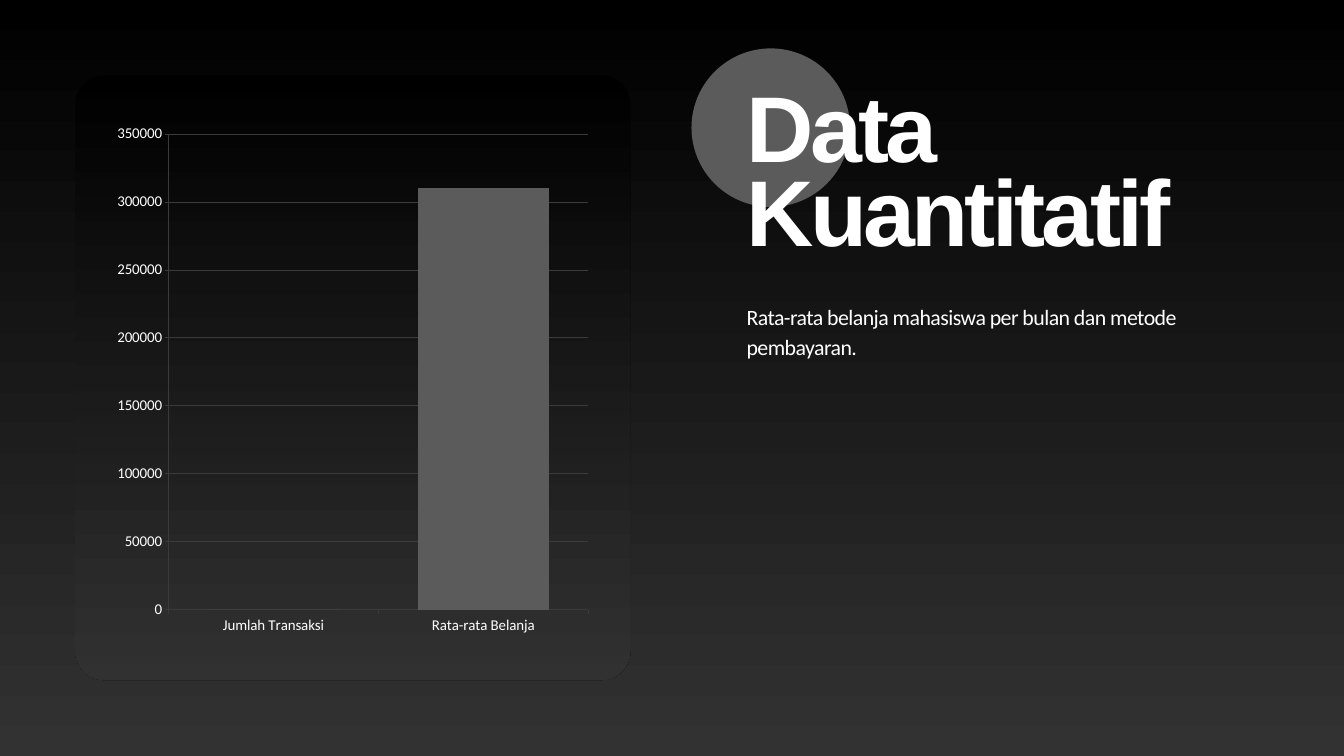
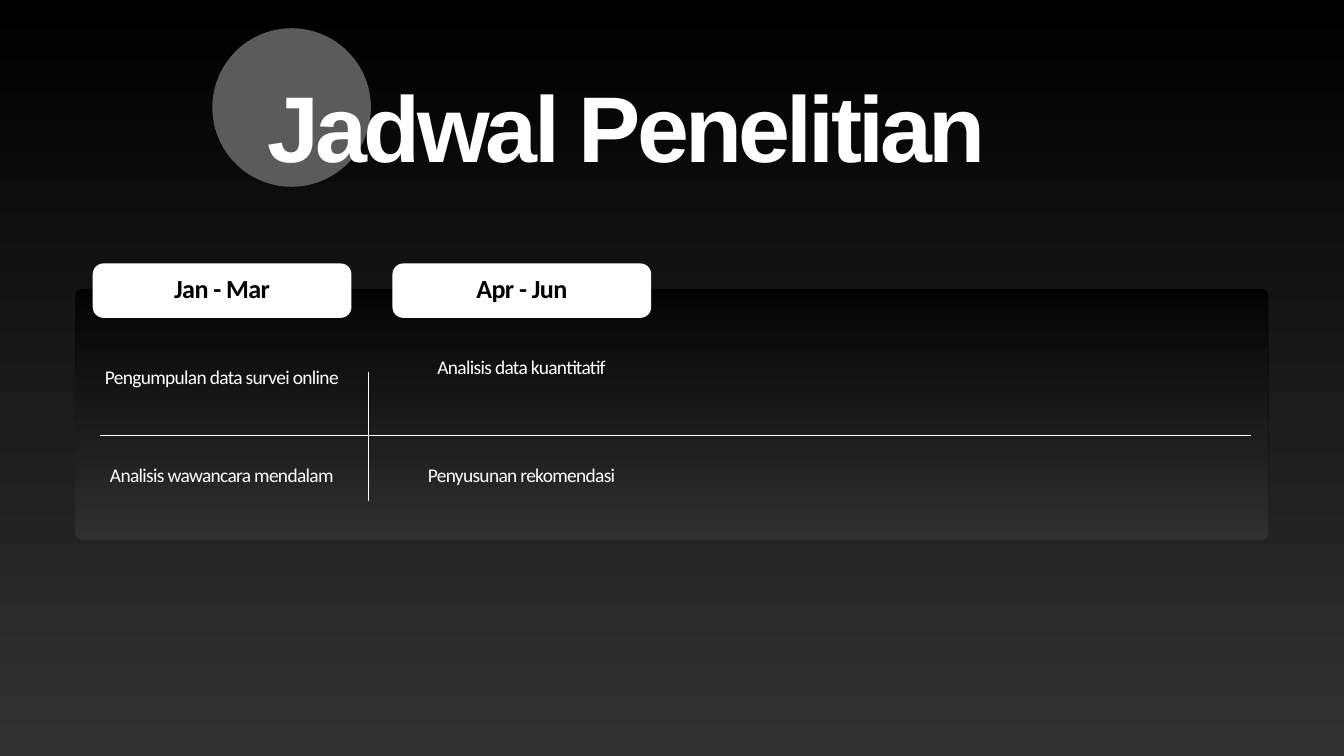
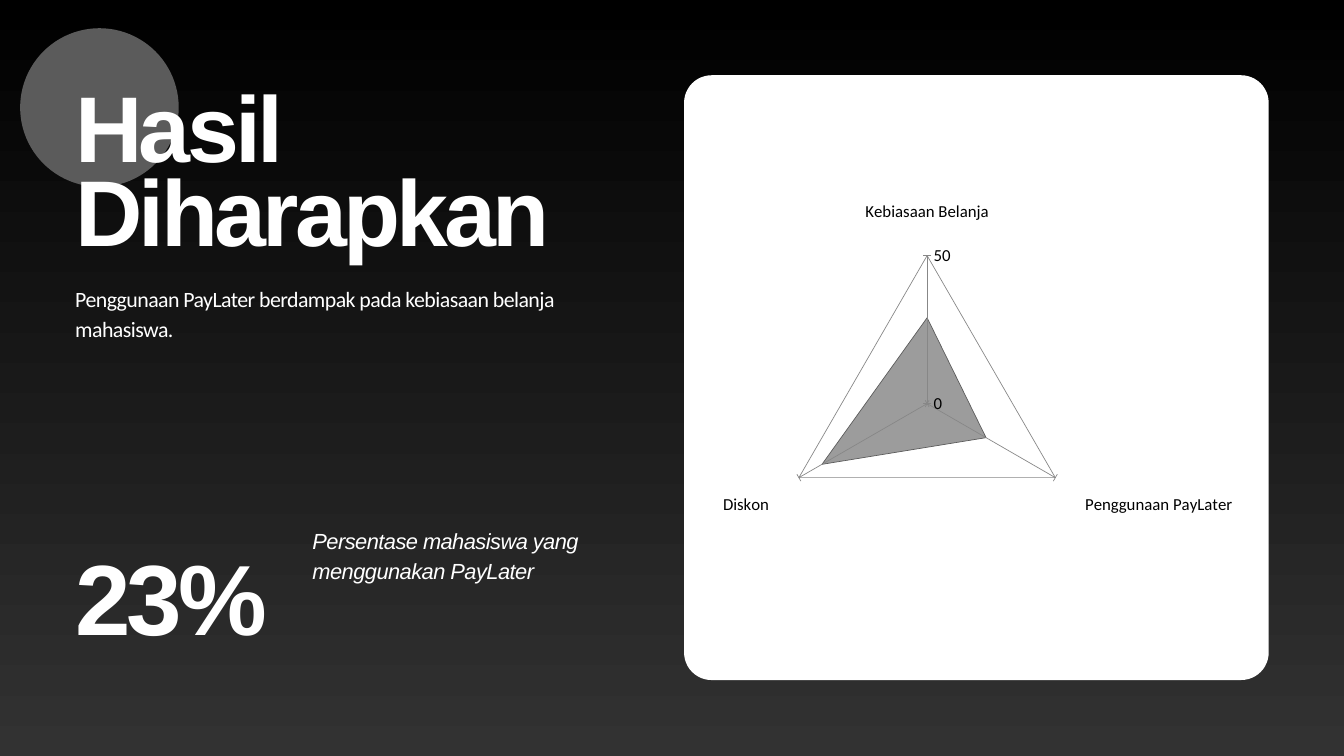
from lxml.etree import SubElement
from pptx import Presentation
from pptx.chart.data import CategoryChartData
from pptx.dml.color import RGBColor as RGB
from pptx.enum.chart import XL_CHART_TYPE as ChartType, XL_TICK_MARK as TickMark
from pptx.enum.shapes import MSO_CONNECTOR as Connector, MSO_SHAPE as Shape
from pptx.enum.text import MSO_ANCHOR as Anchor, MSO_AUTO_SIZE as AutoSize, PP_ALIGN as Align
from pptx.oxml.ns import qn
from pptx.util import Inches, Pt

COLORS = {
    "black": "000000",
    "white": "FFFFFF",
    "charcoal": "323232",
    "grey": "5B5B5B",
    "grid": "3A3A3A",
    "radar_grid": "878787",
}
RGBS = {name: RGB.from_string(value) for name, value in COLORS.items()}
HEADING, BODY = "Arial", "Calibri"
MARGIN = 1.12


def write(shape, text, size, leading, tracking, font=BODY, color="white",
          align=Align.LEFT, anchor=Anchor.TOP, bold=False, italic=False):
    """Fill a shape with one paragraph; tracking is in points."""
    frame = shape.text_frame
    frame.word_wrap = True
    frame.auto_size = AutoSize.NONE
    frame.vertical_anchor = anchor
    frame.margin_left = frame.margin_right = frame.margin_top = frame.margin_bottom = 0
    frame.text = text
    paragraph = frame.paragraphs[0]
    paragraph.alignment = align
    paragraph.line_spacing = Pt(leading)
    paragraph.font.name = font
    paragraph.font.size = Pt(size)
    paragraph.font.bold = bold
    paragraph.font.italic = italic
    paragraph.font.color.rgb = RGBS[color]
    paragraph._p.pPr.find(qn("a:defRPr")).set("spc", str(round(tracking * 100)))


def add_panel(slide, left, top, width, height, radius, white=True):
    """Add a rounded panel, white or in the translucent dark gradient."""
    panel = slide.shapes.add_shape(Shape.ROUNDED_RECTANGLE, Inches(left), Inches(top),
                                   Inches(width), Inches(height))
    panel.adjustments[0] = radius / min(width, height)
    panel.shadow.inherit = False
    panel.line.fill.background()
    if white:
        panel.fill.solid()
        panel.fill.fore_color.rgb = RGBS["white"]
        return panel
    panel.fill.gradient()
    panel.fill.gradient_angle = 270
    for stop, color in zip(panel.fill.gradient_stops, ("black", "charcoal")):
        stop.color.rgb = RGBS[color]
    for color in panel.element.spPr.iter(qn("a:srgbClr")):
        SubElement(color, qn("a:alpha"), val="80000")
    return panel


presentation = Presentation()
presentation.slide_width = Inches(20)
presentation.slide_height = Inches(11.25)

# Shared background
background = presentation.slide_master.background.fill
background.gradient()
background.gradient_angle = 270
for stop, color in zip(background.gradient_stops, ("black", "charcoal")):
    stop.color.rgb = RGBS[color]

# Titles, each with a grey disc behind its first letter
TITLES = [
    ("Data Kuantitatif", 11.11, 7.77, 2.5, 0.72),
    ("Jadwal Penelitian", 3.98, 12.85, 1.25, 0.42),
    ("Hasil Diharapkan", MARGIN, 8.31, 2.5, 0.42),
]
for text, left, width, height, disc_top in TITLES:
    slide = presentation.slides.add_slide(presentation.slide_layouts[5])
    title = slide.shapes.title
    title.left, title.top = Inches(left), Inches(1.44)
    title.width, title.height = Inches(width), Inches(height)
    write(title, text, 100, 90, -4, font=HEADING, bold=True)
    disc = slide.shapes.add_shape(Shape.OVAL, Inches(left - 0.82), Inches(disc_top),
                                  Inches(2.36), Inches(2.36))
    disc.shadow.inherit = False
    disc.fill.solid()
    disc.fill.fore_color.rgb = RGBS["grey"]
    disc.line.fill.background()
    title.element.addprevious(disc.element)
data_slide, schedule_slide, result_slide = presentation.slides

# Body texts
BODY_TEXTS = [
    (data_slide, "Rata-rata belanja mahasiswa per bulan dan metode pembayaran.",
     11.11, 4.47, 7.77, BODY),
    (result_slide, "Penggunaan PayLater berdampak pada kebiasaan belanja mahasiswa.",
     MARGIN, 4.2, 7.77, BODY),
    (result_slide, "Persentase mahasiswa yang menggunakan PayLater",
     4.65, 7.8, 4.24, HEADING),
]
for slide, text, left, top, width, font in BODY_TEXTS:
    box = slide.shapes.add_textbox(Inches(left), Inches(top), Inches(width), Inches(2.32))
    write(box, text, 23.4, 31.8, -0.6, font=font, italic=font == HEADING)

# Key figure
figure = result_slide.shapes.add_textbox(Inches(MARGIN), Inches(8.42), Inches(3.6), Inches(1.45))
write(figure, "23%", 106.9, 96.2, -4.3, font=HEADING, bold=True)

# Panels behind the content
add_panel(data_slide, MARGIN, MARGIN, 8.26, 9, 0.43, white=False)
add_panel(schedule_slide, MARGIN, 4.3, 17.75, 3.73, 0.09, white=False)
add_panel(result_slide, 10.18, MARGIN, 8.7, 9, 0.41)

# Column chart of spending
spending = CategoryChartData()
spending.categories = ["Jumlah Transaksi", "Rata-rata Belanja"]
spending.add_series("Series 1", [0, 310000])
chart = data_slide.shapes.add_chart(ChartType.COLUMN_CLUSTERED, Inches(1.6), Inches(1.7),
                                    Inches(7.3), Inches(7.9), spending).chart
chart.has_title = chart.has_legend = False
chart.font.name, chart.font.size = BODY, Pt(18)
chart.font.color.rgb = RGBS["white"]
for axis in (chart.category_axis, chart.value_axis):
    axis.major_tick_mark = TickMark.OUTSIDE
    axis.tick_labels.font.name = BODY
    axis.tick_labels.font.size = Pt(16)
    axis.tick_labels.font.color.rgb = RGBS["white"]
    axis.format.line.color.rgb = RGBS["grid"]
    axis.format.line.width = Pt(0.75)
axis = chart.value_axis
axis.minimum_scale, axis.maximum_scale, axis.major_unit = 0, 350000, 50000
axis.major_gridlines.format.line.color.rgb = RGBS["grid"]
axis.major_gridlines.format.line.width = Pt(0.75)
plot = chart.plots[0]
plot.gap_width, plot.overlap, plot.vary_by_categories = 60, -10, False
plot.series[0].format.fill.solid()
plot.series[0].format.fill.fore_color.rgb = RGBS["grey"]

# Schedule: one tab and two tasks per period
PERIODS = [
    ("Jan - Mar", [("Pengumpulan data survei online", 5.39),
                   ("Analisis wawancara mendalam", 6.84)]),
    ("Apr - Jun", [("Analisis data kuantitatif", 5.24),
                   ("Penyusunan rekomendasi", 6.84)]),
]
for column, (period, tasks) in enumerate(PERIODS):
    left = 1.38 + 4.46 * column
    tab = add_panel(schedule_slide, left, 3.92, 3.85, 0.81, 0.16)
    write(tab, period, 28, 27.2, -0.6, color="black", align=Align.CENTER,
          anchor=Anchor.MIDDLE, bold=True)
    for task, top in tasks:
        box = schedule_slide.shapes.add_textbox(Inches(left + 0.17), Inches(top),
                                                Inches(3.5), Inches(0.6))
        write(box, task, 20.8, 28.5, -0.7, align=Align.CENTER)

# Schedule dividers
for ends in [(1.49, 6.48, 18.62, 6.48), (5.48, 5.53, 5.48, 7.46)]:
    divider = schedule_slide.shapes.add_connector(Connector.STRAIGHT, *map(Inches, ends))
    divider.line.color.rgb = RGBS["white"]
    divider.line.width = Pt(1.5)
    SubElement(divider.element.spPr, qn("a:effectLst"))

# Radar chart of expected results
results = CategoryChartData()
results.categories = ["Kebiasaan Belanja", "Penggunaan PayLater", "Diskon"]
results.add_series("Series 1", [29, 23, 41])
chart = result_slide.shapes.add_chart(ChartType.RADAR_FILLED, Inches(10.6), Inches(1.6),
                                      Inches(7.9), Inches(8), results).chart
chart.has_title = chart.has_legend = False
chart.font.name, chart.font.size = BODY, Pt(18)
chart.font.color.rgb = RGBS["black"]
axis = chart.value_axis
axis.minimum_scale, axis.maximum_scale, axis.major_unit = 0, 50, 50
axis.major_tick_mark = TickMark.CROSS
for line in (axis.format.line, axis.major_gridlines.format.line):
    line.color.rgb = RGBS["radar_grid"]
    line.width = Pt(0.75)
chart.plots[0].vary_by_categories = False
area = chart.plots[0].series[0].format
area.fill.solid()
area.fill.fore_color.rgb = RGBS["grey"]
for color in chart.plots[0].series[0]._element.iter(qn("a:srgbClr")):
    SubElement(color, qn("a:alpha"), val="60000")
area.line.color.rgb = RGBS["grey"]
area.line.width = Pt(0.75)

presentation.save("out.pptx")
